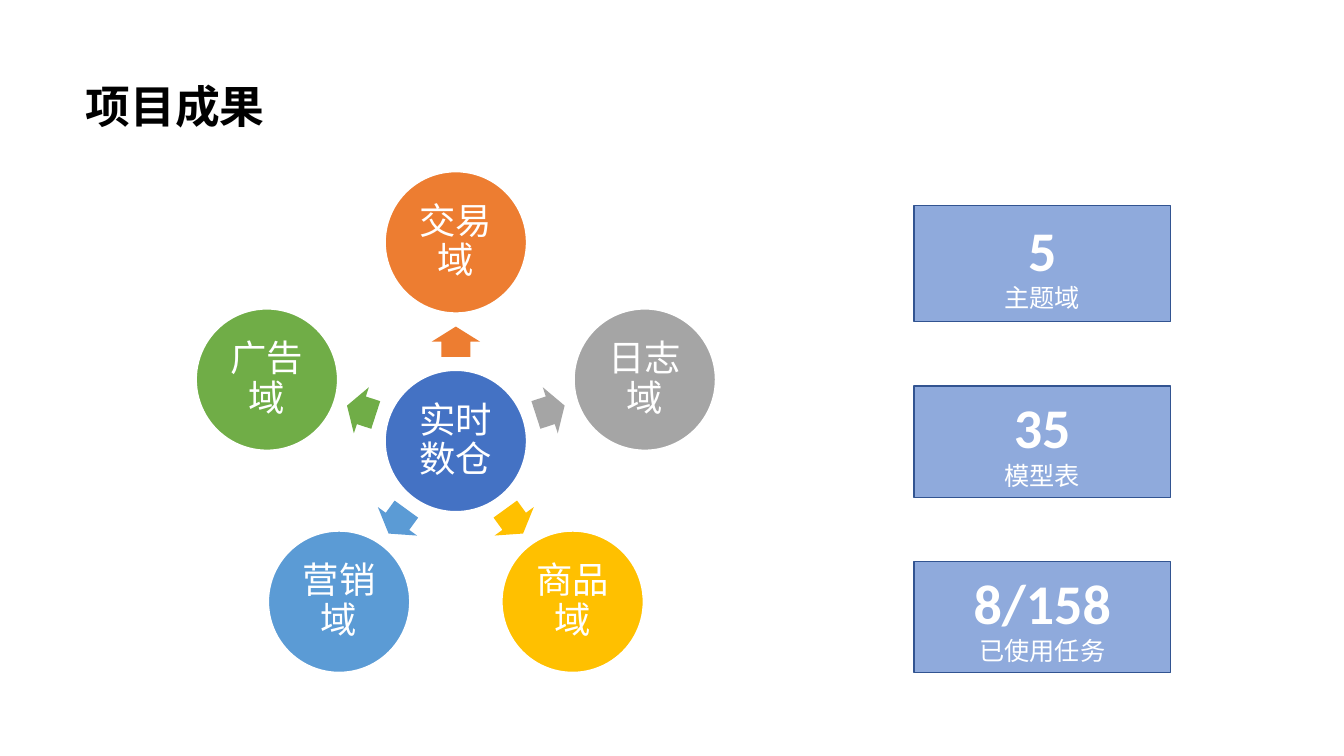
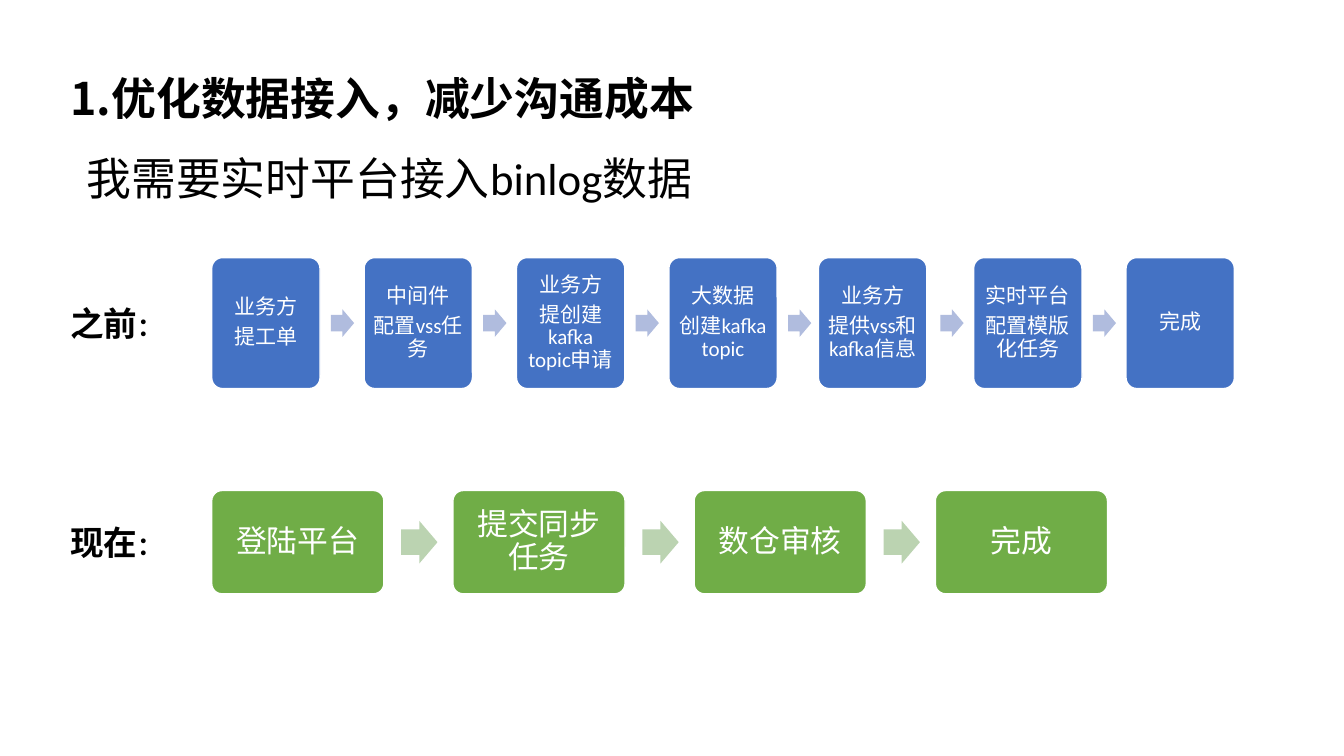
"""Build two slides on the results and simpler data intake of a real-time warehouse."""
import math
from dataclasses import dataclass

from lxml import etree
from pptx import Presentation
from pptx import util as u
from pptx.dml.color import RGBColor
from pptx.enum import shapes, text
from pptx.oxml import ns


@dataclass(frozen=True)
class Theme:
    body_font: str = "Calibri"
    cjk_font: str = "Noto Sans CJK JP"
    black: str = "000000"
    white: str = "FFFFFF"
    blue: str = "4472C4"
    orange: str = "ED7D31"
    grey: str = "A5A5A5"
    gold: str = "FFC000"
    sky: str = "5B9BD5"
    green: str = "70AD47"
    card: str = "8FAADC"
    card_line: str = "325491"
    pale_blue: str = "B0BCDE"
    pale_green: str = "BBD3B1"
    title: int = 32
    label: int = 24
    colon: int = 18
    domain: int = 26
    figure: int = 40
    caption: int = 18


THEME = Theme()
SHAPE = shapes.MSO_SHAPE
CENTER = text.PP_ALIGN.CENTER

RESULTS_TITLE = "项目成果"
HUB = ("实时数仓", THEME.blue)
DOMAINS = [
    ("交易域", THEME.orange),
    ("日志域", THEME.grey),
    ("商品域", THEME.gold),
    ("营销域", THEME.sky),
    ("广告域", THEME.green),
]
CARDS = [
    ("5", "主题域", 146.9, 83),
    ("35", "模型表", 275.6, 79.6),
    ("8/158", "已使用任务", 401, 79.6),
]

INTAKE_TITLE = "1.优化数据接入，减少沟通成本"
REQUEST = "我需要实时平台接入binlog数据"
FLOWS = [
    dict(
        label="之前",
        steps=[
            ["业务方", "提工单"],
            ["中间件", "配置vss任务"],
            ["业务方", "提创建kafka topic申请"],
            ["大数据", "创建kafka topic"],
            ["业务方", "提供vss和kafka信息"],
            ["实时平台", "配置模版化任务"],
            ["完成"],
        ],
        top=184, width=77.4, height=93.6, pitch=108.85, nudges={4: -2},
        arrow=(16.6, 19.6), size=15, inset=4.5,
        fill=THEME.blue, arrow_fill=THEME.pale_blue,
    ),
    dict(
        label="现在",
        steps=[["登陆平台"], ["提交同步任务"], ["数仓审核"], ["完成"]],
        top=350.4, width=123, height=73.8, pitch=172.3, nudges={},
        arrow=(26, 30.5), size=22, inset=6.6,
        fill=THEME.green, arrow_fill=THEME.pale_green,
    ),
]


def add_span(para, words, size, color, bold=False, font=THEME.body_font):
    span = para.add_run()
    span.text = words
    span.font.size = u.Pt(size)
    span.font.bold = bold
    span.font.name = font
    span.font.color.rgb = RGBColor.from_string(color)
    east_asian = etree.SubElement(span.font._element, ns.qn("a:ea"))
    east_asian.set("typeface", THEME.cjk_font)


def add_line(page, spans, left, top, width, height, font=THEME.body_font):
    box = page.shapes.add_textbox(*map(u.Pt, (left, top, width, height)))
    frame = box.text_frame
    frame.word_wrap = True
    frame.auto_size = text.MSO_AUTO_SIZE.SHAPE_TO_FIT_TEXT
    for words, size, bold in spans:
        add_span(frame.paragraphs[0], words, size, THEME.black, bold, font)


def add_title(page, words, left, top, width):
    add_line(page, [(words, THEME.title, True)], left, top, width, 46, THEME.cjk_font)


def add_figure(page, kind, left, top, width, height, fill, line=None, weight=1):
    figure = page.shapes.add_shape(kind, *map(u.Pt, (left, top, width, height)))
    figure.shadow.inherit = False
    figure.fill.solid()
    figure.fill.fore_color.rgb = RGBColor.from_string(fill)
    if line:
        figure.line.color.rgb = RGBColor.from_string(line)
        figure.line.width = u.Pt(weight)
    else:
        figure.line.fill.background()
    return figure


def add_arrow(page, center_x, center_y, width, height, fill, angle=0):
    arrow = add_figure(page, SHAPE.RIGHT_ARROW, center_x - width / 2,
                       center_y - height / 2, width, height, fill)
    arrow.adjustments[0], arrow.adjustments[1] = 0.6, 0.5
    arrow.rotation = angle % 360


def fill_text(figure, lines, inset=None, tight=True):
    frame = figure.text_frame
    frame.word_wrap = True
    frame.vertical_anchor = text.MSO_ANCHOR.MIDDLE
    if inset is not None:
        frame.margin_left = frame.margin_right = u.Pt(inset)
        frame.margin_top = frame.margin_bottom = u.Pt(inset)
    for index, (words, size, bold) in enumerate(lines):
        para = frame.add_paragraph() if index else frame.paragraphs[0]
        para.alignment = CENTER
        if tight:
            para.line_spacing = 0.9
            para.space_after = u.Pt(round(size * 0.35, 2))
        add_span(para, words, size, THEME.white, bold)


def add_circle(page, name, fill, center_x, center_y, diameter=101.5):
    circle = add_figure(page, SHAPE.OVAL, center_x - diameter / 2,
                        center_y - diameter / 2, diameter, diameter,
                        fill, THEME.white, 1.5)
    fill_text(circle, [(name, THEME.domain, False)], 2.6)


def add_wheel(page, center_x=325.6, center_y=315, orbit=141.9):
    add_circle(page, *HUB, center_x, center_y)
    for index, (name, fill) in enumerate(DOMAINS):
        angle = 360 / len(DOMAINS) * index - 90
        across = orbit * math.cos(math.radians(angle))
        down = orbit * math.sin(math.radians(angle))
        add_arrow(page, center_x + across / 2, center_y + down / 2,
                  21.6, 34.6, fill, angle)
        add_circle(page, name, fill, center_x + across, center_y + down)


def add_cards(page, left=653, width=183):
    for figure, caption, top, height in CARDS:
        card = add_figure(page, SHAPE.RECTANGLE, left, top, width, height,
                          THEME.card, THEME.card_line)
        fill_text(card, [(figure, THEME.figure, True),
                         (caption, THEME.caption, False)], tight=False)


def add_flow(page, flow, label_left=43.2, left=151.2):
    width, height = flow["width"], flow["height"]
    middle = flow["top"] + height / 2
    add_line(page, [(flow["label"], THEME.label, True), ("：", THEME.colon, True)],
             label_left, middle - 18, 81.4, 36)
    for index, lines in enumerate(flow["steps"]):
        step_left = left + index * flow["pitch"]
        step = add_figure(page, SHAPE.ROUNDED_RECTANGLE,
                          step_left + flow["nudges"].get(index, 0), flow["top"],
                          width, height, flow["fill"], THEME.white)
        step.adjustments[0] = 0.1
        fill_text(step, [(words, flow["size"], False) for words in lines], flow["inset"])
        if index < len(flow["steps"]) - 1:
            arrow_width, arrow_height = flow["arrow"]
            add_arrow(page, step_left + width * 1.1 + arrow_width / 2, middle,
                      arrow_width, arrow_height, flow["arrow_fill"])


def main():
    deck = Presentation()
    deck.slide_width, deck.slide_height = u.Pt(960), u.Pt(540)
    blank = deck.slide_layouts[6]

    results = deck.slides.add_slide(blank)
    add_title(results, RESULTS_TITLE, 54, 52.6, 306.7)
    add_wheel(results)
    add_cards(results)

    intake = deck.slides.add_slide(blank)
    add_title(intake, INTAKE_TITLE, 43.2, 46.8, 473)
    add_line(intake, [(REQUEST, THEME.title, False)], 54.7, 104.4, 451.4, 46)
    for flow in FLOWS:
        add_flow(intake, flow)

    deck.save("out.pptx")


if __name__ == "__main__":
    main()
